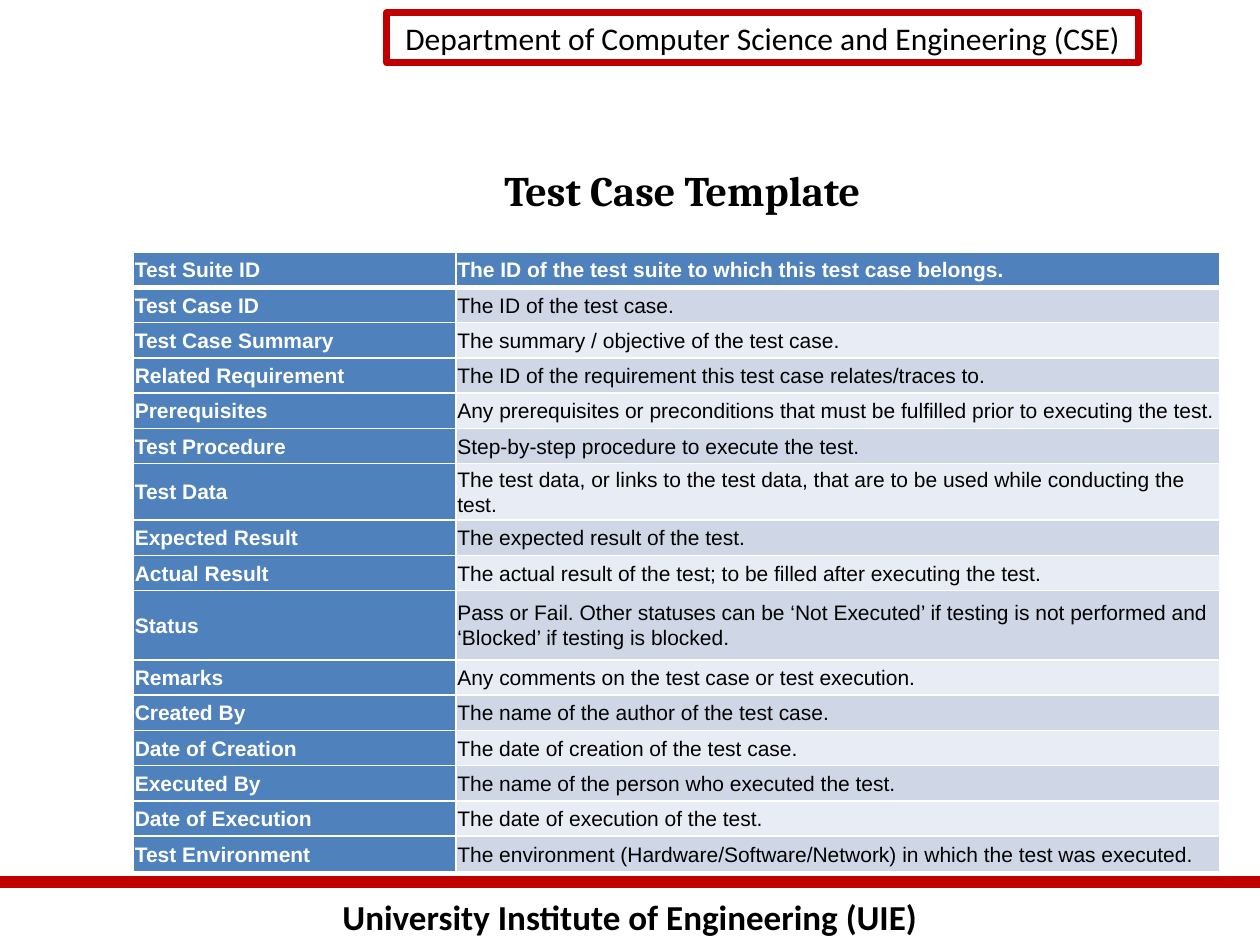
from dataclasses import dataclass

from lxml import etree
from pptx import Presentation
from pptx import util as u
from pptx.dml.color import RGBColor
from pptx.enum import shapes, text
from pptx.oxml import ns

PX = u.Inches(1) // 100  # 100 px to the inch

COLORS = {
    "black": "000000",
    "white": "FFFFFF",
    "red": "C00000",
    "blue": "4F81BD",
    "band_dark": "CFD7E7",
    "band_light": "E8ECF4",
}


@dataclass(frozen=True)
class Label:
    words: str
    box: tuple[int, int, int, int]
    font: str
    size: int
    bold: bool = False
    outline: int = 0
    grow: bool = True


@dataclass(frozen=True)
class Field:
    name: str
    meaning: str
    height: int = 28


LABELS = [
    Label("University Institute of Engineering (UIE)", (0, 706, 1000, 44), "Calibri", 20, bold=True),
    Label("Department of Computer Science and Engineering (CSE)", (307, 10, 597, 40), "Calibri", 18, outline=4),
    Label("Test Case Template", (108, 117, 867, 67), "Cambria", 24, bold=True, grow=False),
]

FIELDS = [
    Field("Test Suite ID", "The ID of the test suite to which this test case belongs."),
    Field("Test Case ID", "The ID of the test case."),
    Field("Test Case Summary", "The summary / objective of the test case."),
    Field("Related Requirement", "The ID of the requirement this test case relates/traces to."),
    Field("Prerequisites", "Any prerequisites or preconditions that must be fulfilled prior to executing the test."),
    Field("Test Procedure", "Step-by-step procedure to execute the test."),
    Field("Test Data", "The test data, or links to the test data, that are to be used while conducting the test."),
    Field("Expected Result", "The expected result of the test."),
    Field("Actual Result", "The actual result of the test; to be filled after executing the test."),
    Field("Status", "Pass or Fail. Other statuses can be ‘Not Executed’ if testing is not performed "
          "and ‘Blocked’ if testing is blocked.", 55),
    Field("Remarks", "Any comments on the test case or test execution."),
    Field("Created By", "The name of the author of the test case."),
    Field("Date of Creation", "The date of creation of the test case."),
    Field("Executed By", "The name of the person who executed the test."),
    Field("Date of Execution", "The date of execution of the test."),
    Field("Test Environment", "The environment (Hardware/Software/Network) in which the test was executed."),
]
COLUMN_WIDTHS = (256, 606)


def rgb(name: str) -> RGBColor:
    return RGBColor.from_string(COLORS[name])


def set_all(target, values: dict) -> None:
    for name, value in values.items():
        setattr(target, name, value)


def write(p, words: str, font: str, size: int, bold: bool, color: str) -> None:
    r = p.add_run()
    r.text = words
    set_all(r.font, {"name": font, "size": u.Pt(size), "bold": bold})
    r.font.color.rgb = rgb(color)


def add_label(s, label: Label) -> None:
    box = [v * PX for v in label.box]
    if label.outline:
        sp = s.shapes.add_shape(shapes.MSO_SHAPE.RECTANGLE, *box)
        sp.shadow.inherit = False
        sp.fill.background()
        sp.line.color.rgb = rgb("red")
        sp.line.width = u.Pt(label.outline)
    else:
        sp = s.shapes.add_textbox(*box)
    tf = sp.text_frame
    fit = text.MSO_AUTO_SIZE
    set_all(tf, {
        "word_wrap": True,
        "auto_size": fit.SHAPE_TO_FIT_TEXT if label.grow else fit.NONE,
        "vertical_anchor": text.MSO_ANCHOR.TOP if label.grow else text.MSO_ANCHOR.MIDDLE,
    })
    p = tf.paragraphs[0]
    p.alignment = text.PP_ALIGN.CENTER
    write(p, label.words, label.font, label.size, label.bold, "black")


def add_footer_rule(s) -> None:
    rule = s.shapes.add_connector(shapes.MSO_CONNECTOR.STRAIGHT, 0, 700 * PX, 1000 * PX, 700 * PX)
    rule.line.color.rgb = rgb("red")
    rule.line.width = u.Pt(7)
    etree.SubElement(rule._element.spPr, ns.qn("a:effectLst"))


def add_borders(cell, widths: dict[str, int]) -> None:
    tc_pr = cell._tc.get_or_add_tcPr()
    for side, width in widths.items():
        ln = etree.SubElement(tc_pr, ns.qn(f"a:ln{side}"), w=str(u.Pt(width)))
        fill = etree.SubElement(ln, ns.qn("a:solidFill"))
        etree.SubElement(fill, ns.qn("a:srgbClr"), val=COLORS["white"])


def fill_cell(cell, words: str, row: int, col: int) -> None:
    """Header row and first column are blue; the rest is banded."""
    strong = row == 0 or col == 0
    set_all(cell, {
        "vertical_anchor": text.MSO_ANCHOR.MIDDLE,
        **{f"margin_{side}": PX for side in ("left", "top", "right", "bottom")},
    })
    add_borders(cell, {"L": 1, "R": 1, "T": 3 if row == 1 else 1, "B": 3 if row == 0 else 1})
    cell.fill.solid()
    cell.fill.fore_color.rgb = rgb("blue" if strong else "band_dark" if row % 2 else "band_light")
    p = cell.text_frame.paragraphs[0]
    p.line_spacing = 1.07
    write(p, words, "Arial", 12, strong, "white" if strong else "black")


def add_field_table(s) -> None:
    height = sum(field.height for field in FIELDS)
    table = s.shapes.add_table(len(FIELDS), len(COLUMN_WIDTHS), 106 * PX, 200 * PX,
                               sum(COLUMN_WIDTHS) * PX, height * PX).table
    for column, width in zip(table.columns, COLUMN_WIDTHS):
        column.width = width * PX
    for row, field in enumerate(FIELDS):
        table.rows[row].height = field.height * PX
        for col, words in enumerate((field.name, field.meaning)):
            fill_cell(table.cell(row, col), words, row, col)


def main() -> None:
    prs = Presentation()
    set_all(prs, {"slide_width": 1000 * PX, "slide_height": 750 * PX})
    s = prs.slides.add_slide(prs.slide_layouts[6])
    add_footer_rule(s)
    for label in LABELS:
        add_label(s, label)
    add_field_table(s)
    prs.save("out.pptx")


if __name__ == "__main__":
    main()
